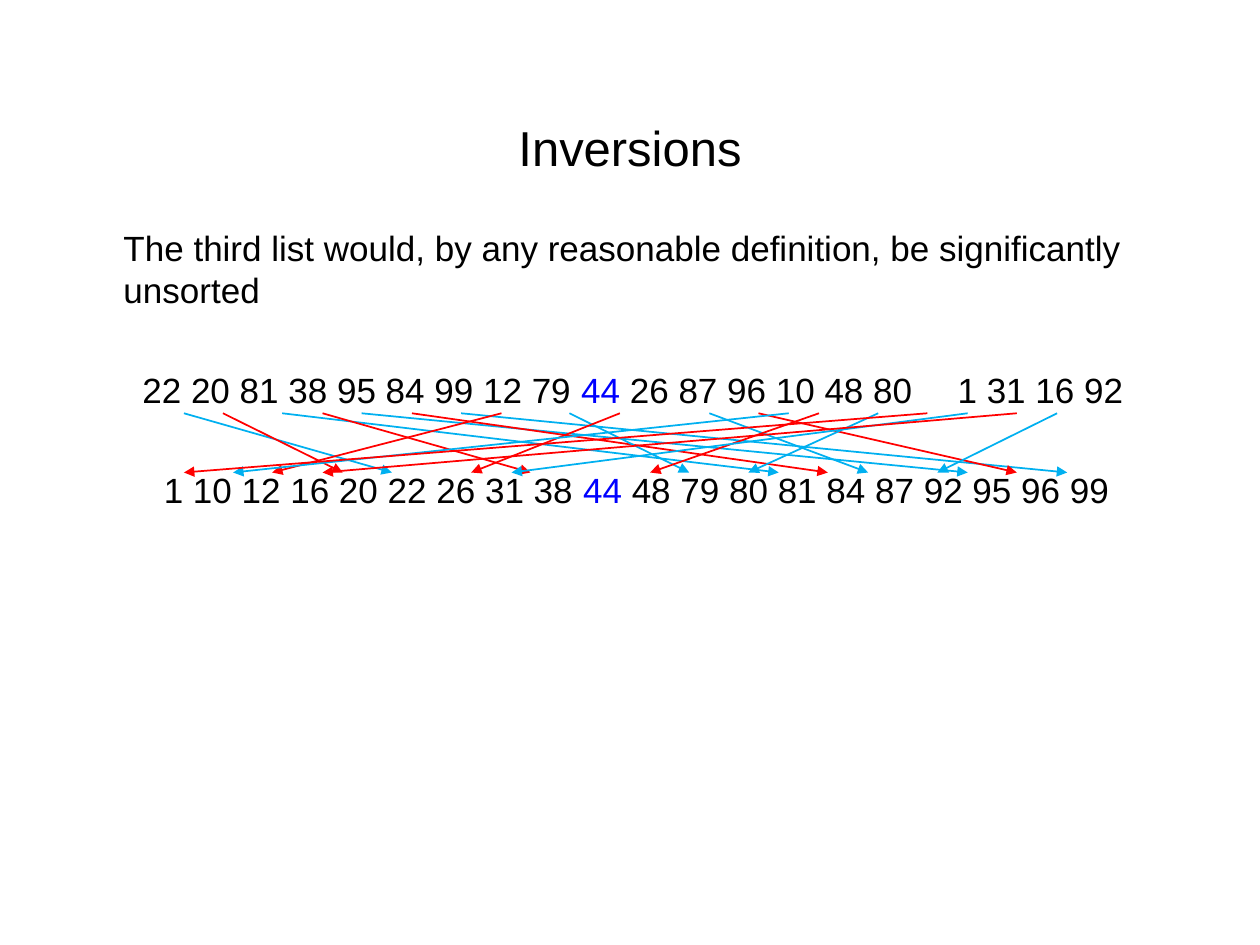
from itertools import cycle

from lxml import etree
from pptx import Presentation
from pptx.dml.color import RGBColor
from pptx.enum import shapes, text
from pptx.oxml.ns import qn
from pptx.util import Inches, Pt

COLOURS = {"text": "000000", "pivot": "0000FF", "blue": "00B0F0", "red": "FF0000"}


class SlideBuilder:
    font = "Arial"

    def __init__(self, slide):
        self.slide = slide

    def place(self, shape, left, top, width, height, anchor):
        shape.left, shape.top = Inches(left), Inches(top)
        shape.width, shape.height = Inches(width), Inches(height)
        frame = shape.text_frame
        frame.word_wrap = True
        frame.auto_size = text.MSO_AUTO_SIZE.NONE
        frame.vertical_anchor = anchor
        return frame

    def add_runs(self, paragraph, runs, size):
        for words, colour in runs:
            run = paragraph.add_run()
            run.text = words
            run.font.name = self.font
            run.font.size = Pt(size)
            run.font.color.rgb = RGBColor.from_string(COLOURS[colour])

    def title(self, words):
        frame = self.place(self.slide.shapes.title, 0.5, 0.54, 9, 1.25,
                           text.MSO_ANCHOR.MIDDLE)
        paragraph = frame.paragraphs[0]
        paragraph.alignment = text.PP_ALIGN.CENTER
        self.add_runs(paragraph, [(words, "text")], 28)

    def body(self, items):
        """Each item: left margin, first-line indent, tab stop or None, runs."""
        frame = self.place(self.slide.placeholders[1], 0.5, 1.75, 9, 4.95,
                           text.MSO_ANCHOR.TOP)
        for index, (margin, indent, tab, runs) in enumerate(items):
            paragraph = frame.add_paragraph() if index else frame.paragraphs[0]
            paragraph.space_before = Pt(33 if index else 0)
            properties = paragraph._p.get_or_add_pPr()
            properties.set("marL", str(Inches(margin)))
            properties.set("indent", str(Inches(indent)))
            etree.SubElement(properties, qn("a:buNone"))
            if tab:
                tabs = etree.SubElement(properties, qn("a:tabLst"))
                etree.SubElement(tabs, qn("a:tab"), pos=str(Inches(tab)), algn="l")
            self.add_runs(paragraph, runs, 20)

    def arrow(self, start, end, top, bottom, colour):
        connector = self.slide.shapes.add_connector(
            shapes.MSO_CONNECTOR.STRAIGHT,
            Inches(start), Inches(top), Inches(end), Inches(bottom))
        connector.line.width = Pt(1)
        connector.line.color.rgb = RGBColor.from_string(COLOURS[colour])
        etree.SubElement(connector.line._get_or_add_ln(), qn("a:tailEnd"),
                         type="triangle")
        etree.SubElement(connector._element.spPr, qn("a:effectLst"))


def main():
    presentation = Presentation()
    presentation.slide_width, presentation.slide_height = Inches(10), Inches(7.5)
    builder = SlideBuilder(
        presentation.slides.add_slide(presentation.slide_layouts[1]))

    # Title, statement and the two number rows
    builder.title("Inversions")
    builder.body([
        (0.38, 0, None, [("The third list would, by any reasonable definition, "
                          "be significantly unsorted", "text")]),
        (0, 0.53, 6.86, [("22 20 81 38 95 84 99 12 79 ", "text"), ("44", "pivot"),
                         (" 26 87 96 10 48 80\t1 31 16 92", "text")]),
        (0, 0.7, None, [("1 10 12 16 20 22 26 31 38 ", "text"), ("44", "pivot"),
                        (" 48 79 80 81 84 87 92 95 96 99", "text")]),
    ])

    # Arrows from each unsorted number to its sorted place, colours alternating
    arrows = [
        (1.46, 3.11), (1.77, 2.72), (2.24, 6.18), (2.56, 4.21), (2.87, 7.68),
        (3.27, 6.57), (3.66, 8.47), (3.98, 2.16), (4.52, 5.47), (4.92, 3.74),
        (5.63, 6.89), (6.02, 8.07), (6.26, 1.85), (6.5, 5.16), (6.97, 5.94),
        (7.36, 1.46), (7.68, 4.06), (8.07, 2.56), (8.39, 7.44),
    ]
    for (start, end), colour in zip(arrows, cycle(["blue", "red"])):
        builder.arrow(start, end, 3.28, 3.75, colour)

    presentation.save("out.pptx")


if __name__ == "__main__":
    main()
